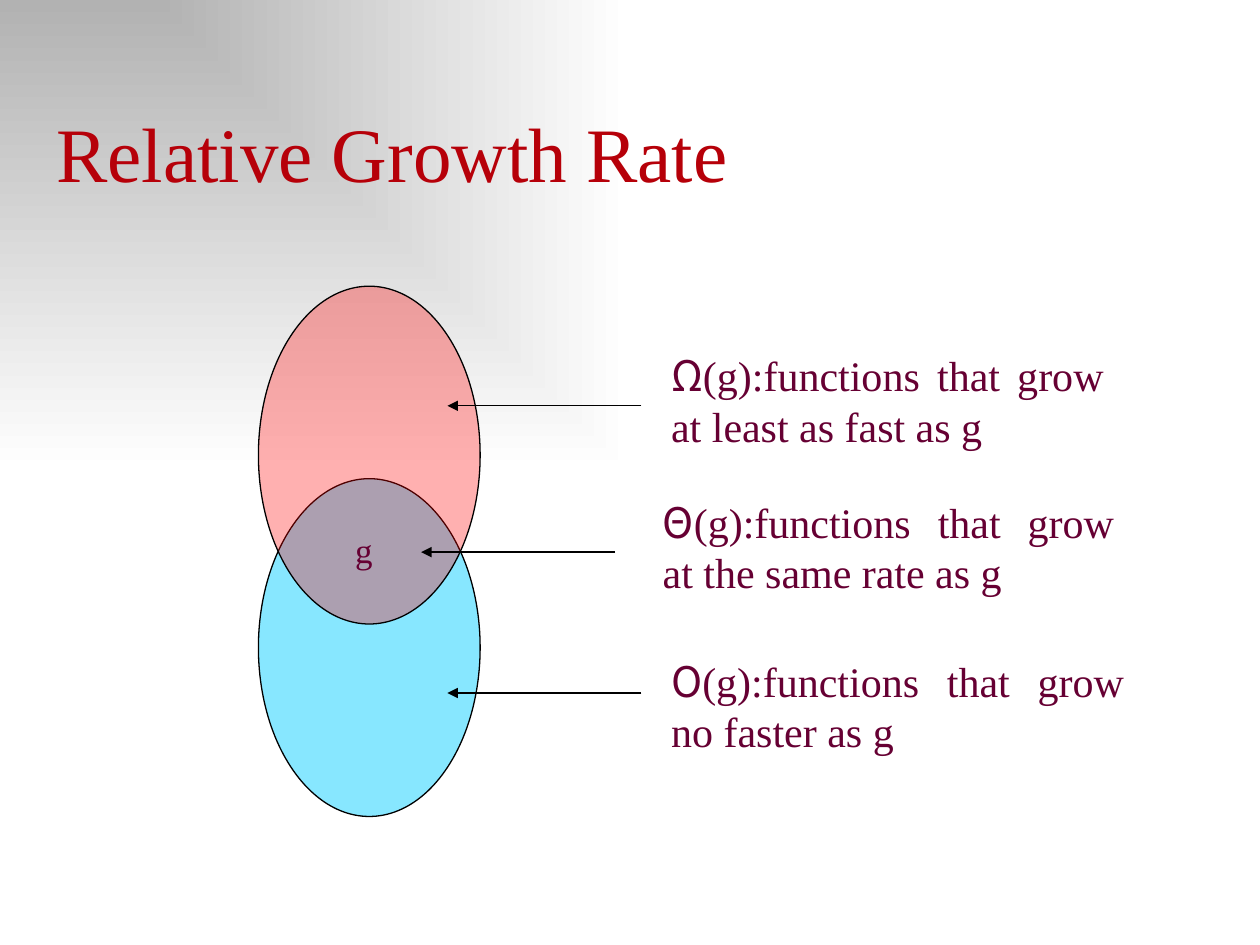
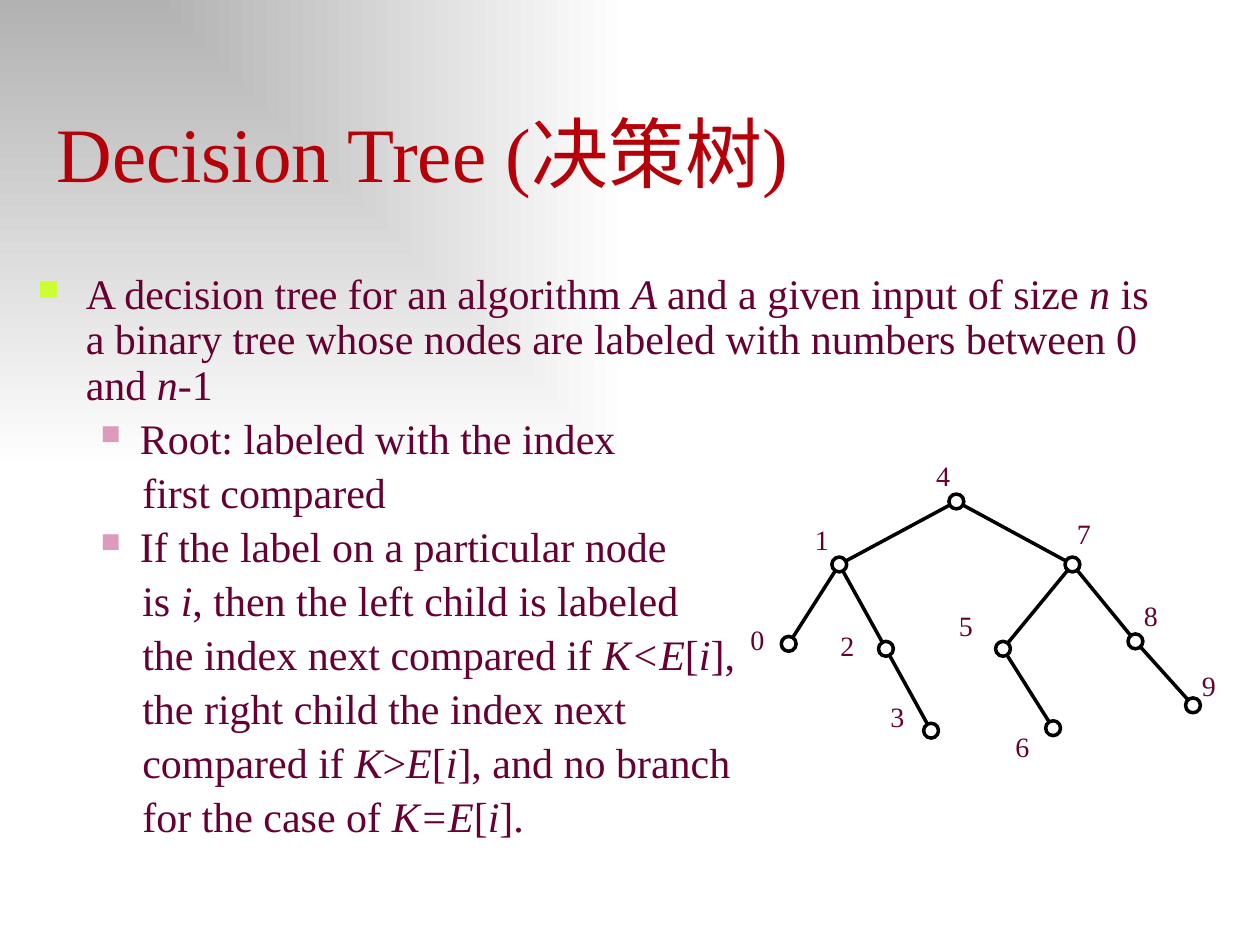
"""Build two slides on growth rates and decision trees."""
from math import hypot

from lxml.etree import SubElement
from pptx import Presentation
from pptx.dml.color import RGBColor
from pptx.enum.shapes import MSO_CONNECTOR, MSO_SHAPE
from pptx.enum.text import MSO_ANCHOR, PP_ALIGN
from pptx.oxml.ns import qn
from pptx.util import Cm, Pt

COLORS = {
    "title": "B60009", "text": "660033", "line": "000000", "node": "FFFFFF",
    "shade": "B2B2B2", "paper": "FFFFFF", "omega": "FF0000", "big_o": "00CCFF",
    "bullet": "CCFF33", "sub_bullet": "DE9ABC",
}
SERIF, SYMBOL = "Times New Roman", "Noto Sans CJK SC"

TITLES = ["Relative Growth Rate", "Decision Tree (决策树)"]
TITLE_BOX = (0.89, 2.01, 24, 2.11)

OVAL_LEFT, OVAL_WIDTH, OVAL_HEIGHT = 5.21, 4.47, 6.81
OVALS = [("big_o", 9.65, 47), ("omega", 5.77, 31)]
SHARED_LABEL = ("g", (6.91, 10.52, 1.68, 2.44))
GROWTH_CLASSES = [
    ("Ω", "(g):functions that grow at least as fast as g", (13.28, 6.93, 9.22, 2.67), (12.93, 8.18)),
    ("Θ", "(g):functions that grow at the same rate as g", (13.11, 9.88, 9.6, 2.67), (12.4, 11.13)),
    ("Ο", "(g):functions that grow no faster as g", (13.28, 13.08, 9.63, 2.67), (12.93, 13.97)),
]
ARROW_LENGTH = 3.91

BODY_BOX = (0.51, 5.38, 23.22, 11.43)
BODY = [
    ("main", "A decision tree for an algorithm *A *and a given input of size *n* is a binary tree "
             "whose nodes are labeled with numbers between 0 and *n*-1"),
    ("sub", "Root: labeled with the index"),
    ("more", "first compared"),
    ("sub", "If the label on a particular node"),
    ("more", "is *i*, then the left child is labeled"),
    ("more", "the index next compared if *K<E*[*i*],"),
    ("more", "the right child the index next"),
    ("more", "compared if *K*>*E*[*i*], and no branch"),
    ("more", "for the case of *K=E*[*i*]."),
]
LEVELS = {
    "main": {"left": 0.97, "hang": 0.97, "bullet": ("bullet", 70)},
    "sub": {"left": 2.06, "hang": 0.79, "bullet": ("sub_bullet", 65)},
    "more": {"left": 2.11, "hang": 0, "bullet": None},
}

NODES = {
    4: (19.28, 10.11), 1: (16.92, 11.38), 7: (21.62, 11.38), 0: (15.9, 12.98), 2: (17.86, 13.08),
    5: (20.22, 13.08), 8: (22.89, 12.93), 3: (18.77, 14.73), 6: (21.23, 14.68), 9: (24.05, 14.22),
}
EDGES = [(4, 1), (1, 0), (1, 2), (4, 7), (7, 8), (7, 5), (5, 6), (8, 9), (2, 3)]
NODE_LABELS = {
    9: (23.98, 13.36), 8: (22.81, 11.94), 7: (21.46, 10.29), 6: (20.22, 14.58), 5: (19.08, 12.14),
    3: (17.7, 13.97), 2: (16.69, 12.55), 0: (14.88, 12.42), 1: (16.18, 10.41), 4: (18.62, 9.12),
}
NODE_SIZE, LABEL_SIZE = 0.3, (1.5, 1.3)


def color(name):
    return RGBColor.from_string(COLORS[name])


def cm(values):
    return [Cm(v) for v in values]


def apply(obj, values):
    for name, value in values.items():
        setattr(obj, name, value)


def add_run(p, text, size, ink="text", **values):
    r = p.add_run()
    r.text = text
    apply(r.font, {"name": SERIF, "size": Pt(size), **values})
    r.font.color.rgb = color(ink)


def add_text(shapes, box, **values):
    tf = shapes.add_textbox(*cm(box)).text_frame
    apply(tf, {"word_wrap": True, **values})
    return tf


def add_label(shapes, box, size, *runs):
    p = add_text(shapes, box).paragraphs[0]
    p.alignment = PP_ALIGN.JUSTIFY
    for text, font in runs:
        add_run(p, text, size, name=font)


def add_oval(shapes, box, fill, width, opacity=None):
    sp = shapes.add_shape(MSO_SHAPE.OVAL, *cm(box))
    sp.shadow.inherit = False
    sp.fill.solid()
    sp.fill.fore_color.rgb = color(fill)
    sp.line.color.rgb = color("line")
    sp.line.width = Pt(width)
    if opacity:
        rgb = sp.element.spPr.find(qn("a:solidFill"))[0]
        SubElement(rgb, qn("a:alpha"), val=str(opacity * 1000))


def add_line(shapes, start, end, width, arrow=False):
    sp = shapes.add_connector(MSO_CONNECTOR.STRAIGHT, *cm(start + end))
    sp.line.color.rgb = color("line")
    sp.line.width = Pt(width)
    if arrow:
        SubElement(sp.line._get_or_add_ln(), qn("a:tailEnd"), type="triangle")
    SubElement(sp.element.spPr, qn("a:effectLst"))


def set_background(master):
    fill = master.background.fill
    fill.gradient()
    for stop, name in zip(fill.gradient_stops, ("shade", "paper")):
        stop.color.rgb = color(name)
    grad = next(master.element.iter(qn("a:gradFill")))
    grad.remove(grad.find(qn("a:lin")))
    shade = SubElement(grad, qn("a:path"), path="rect")
    SubElement(shade, qn("a:fillToRect"), r="100000", b="100000")


def set_level(p, left, hang, bullet):
    pPr = p._p.get_or_add_pPr()
    pPr.set("marL", str(Cm(left)))
    pPr.set("indent", str(-Cm(hang)))
    if bullet:
        name, percent = bullet
        SubElement(SubElement(pPr, qn("a:buClr")), qn("a:srgbClr"), val=COLORS[name])
        SubElement(pPr, qn("a:buSzPct"), val=str(percent * 1000))
        SubElement(pPr, qn("a:buChar"), char="■")
    else:
        SubElement(pPr, qn("a:buNone"))


def add_slide(prs, title):
    s = prs.slides.add_slide(prs.slide_layouts[6])
    tf = add_text(s.shapes, TITLE_BOX, vertical_anchor=MSO_ANCHOR.BOTTOM)
    add_run(tf.paragraphs[0], title, 44, "title")
    return s.shapes


def draw_growth(shapes):
    for name, top, opacity in OVALS:
        add_oval(shapes, (OVAL_LEFT, top, OVAL_WIDTH, OVAL_HEIGHT), name, 0.75, opacity)
    text, box = SHARED_LABEL
    add_label(shapes, box, 20, (text, SERIF))
    for symbol, text, box, (x, y) in GROWTH_CLASSES:
        add_label(shapes, box, 24, (symbol, SYMBOL), (text, SERIF))
        add_line(shapes, (x, y), (x - ARROW_LENGTH, y), 0.75, arrow=True)


def draw_body(shapes):
    tf = add_text(shapes, BODY_BOX)
    for i, (level, text) in enumerate(BODY):
        p = tf.add_paragraph() if i else tf.paragraphs[0]
        set_level(p, **LEVELS[level])
        apply(p, {"line_spacing": 0.9, "space_before": Pt(5 if i else 0)})
        for j, part in enumerate(text.split("*")):
            add_run(p, part, 24, italic=j % 2 == 1)


def draw_tree(shapes):
    radius = NODE_SIZE / 2
    for x, y in NODES.values():
        add_oval(shapes, (x - radius, y - radius, NODE_SIZE, NODE_SIZE), "node", 2)
    for parent, child in EDGES:
        (x1, y1), (x2, y2) = NODES[parent], NODES[child]
        trim = radius / hypot(x2 - x1, y2 - y1)
        dx, dy = (x2 - x1) * trim, (y2 - y1) * trim
        add_line(shapes, (x1 + dx, y1 + dy), (x2 - dx, y2 - dy), 2)
    for key, place in NODE_LABELS.items():
        add_label(shapes, place + LABEL_SIZE, 16, (str(key), SERIF))


def main():
    prs = Presentation()
    prs.slide_width, prs.slide_height = Cm(25.4), Cm(19.05)
    set_background(prs.slide_master)
    growth, tree = [add_slide(prs, title) for title in TITLES]
    draw_growth(growth)
    draw_body(tree)
    draw_tree(tree.add_group_shape().shapes)
    prs.save("out.pptx")


if __name__ == "__main__":
    main()
